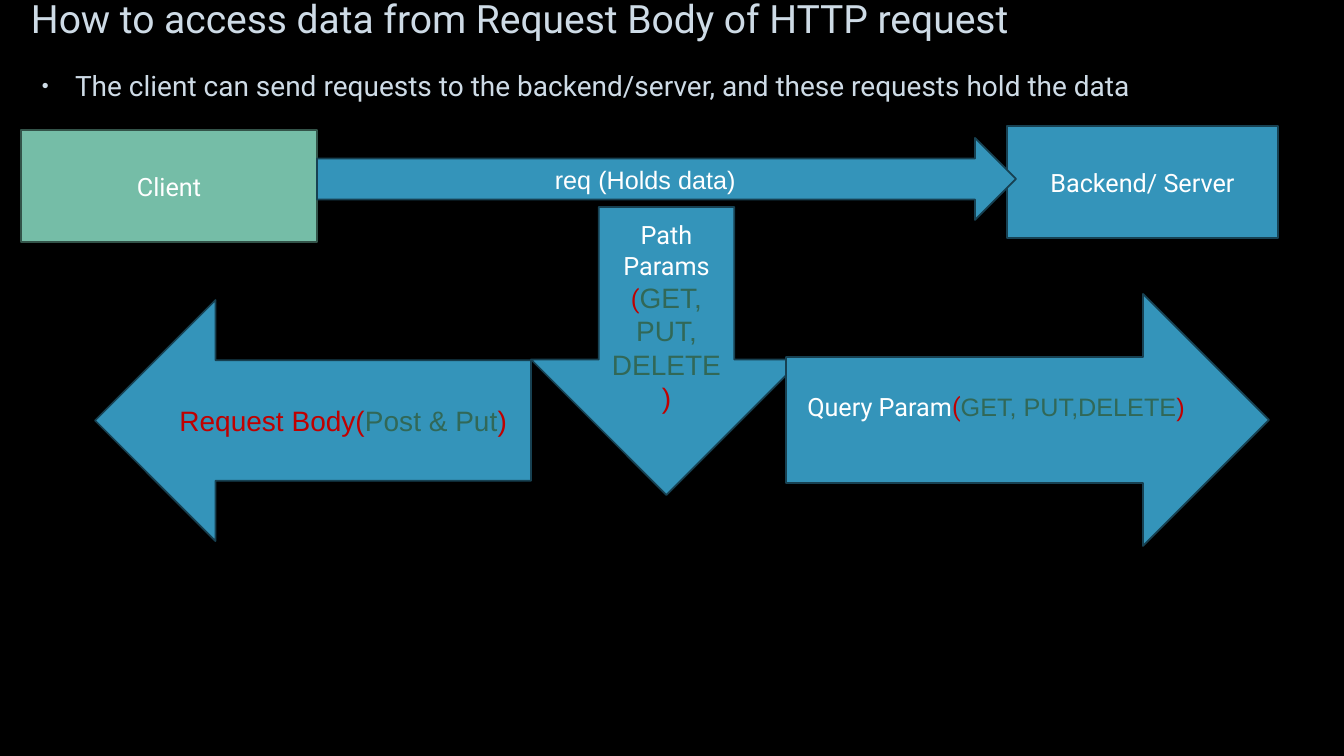
"""Build a slide on the ways an HTTP request carries data to a server."""
from lxml import etree
from pptx import Presentation
from pptx import util as u
from pptx.dml.color import RGBColor
from pptx.enum import shapes, text
from pptx.oxml import ns

COLOURS = {
    "background": "000000", "heading": "CEDBE6", "white": "FFFFFF",
    "blue": "3494BA", "blue line": "174152",
    "green": "75BDA7", "green line": "335349",
    "red": "C00000", "dark green": "316857",
}
EMU_PER_PX = 914400 / 100.8


def px(length):
    return u.Emu(round(length * EMU_PER_PX))


def colour(name):
    return RGBColor.from_string(COLOURS[name])


def add_run(paragraph, words, size=18, font="Roboto", ink="white"):
    run = paragraph.add_run()
    run.text = words
    run.font.size = u.Pt(size)
    run.font.name = font
    run.font.color.rgb = colour(ink)


class RequestSlide:
    def __init__(self, presentation):
        self.slide = presentation.slides.add_slide(presentation.slide_layouts[6])
        fill = self.slide.background.fill
        fill.solid()
        fill.fore_color.rgb = colour("background")

    def text_box(self, box, words, size, top_inset=0):
        shape = self.slide.shapes.add_textbox(*map(px, box))
        frame = shape.text_frame
        frame.word_wrap = True
        frame.margin_left = frame.margin_right = px(10)
        frame.margin_top = px(top_inset)
        frame.margin_bottom = 0
        paragraph = frame.paragraphs[0]
        add_run(paragraph, words, size=size, ink="heading")
        return paragraph

    def bullet(self, box, words, size):
        paragraph = self.text_box(box, words, size, top_inset=5)
        properties = paragraph._p.get_or_add_pPr()
        properties.set("marL", str(px(38)))
        properties.set("indent", str(-px(33)))
        ink = etree.SubElement(properties, ns.qn("a:buClr"))
        etree.SubElement(ink, ns.qn("a:srgbClr"), val=COLOURS["heading"])
        etree.SubElement(properties, ns.qn("a:buSzPct"), val="70000")
        etree.SubElement(properties, ns.qn("a:buFont"), typeface="Arial")
        etree.SubElement(properties, ns.qn("a:buChar"), char="•")

    def block(self, kind, box, lines, fill="blue", right_inset=10, bottom_inset=5):
        shape = self.slide.shapes.add_shape(kind, *map(px, box))
        shape.shadow.inherit = False
        shape.fill.solid()
        shape.fill.fore_color.rgb = colour(fill)
        shape.line.color.rgb = colour(fill + " line")
        shape.line.width = u.Pt(1.25)
        frame = shape.text_frame
        frame.word_wrap = True
        frame.vertical_anchor = text.MSO_ANCHOR.MIDDLE
        frame.margin_left, frame.margin_right = px(10), px(right_inset)
        frame.margin_top, frame.margin_bottom = px(5), px(bottom_inset)
        for index, line in enumerate(lines):
            paragraph = frame.add_paragraph() if index else frame.paragraphs[0]
            paragraph.alignment = text.PP_ALIGN.CENTER
            for words, style in line:
                add_run(paragraph, words, **style)


def main():
    presentation = Presentation()
    presentation.slide_width, presentation.slide_height = px(1344), px(756)
    page = RequestSlide(presentation)
    kinds = shapes.MSO_SHAPE

    plain = {}
    arial = {"font": "Arial"}
    red = {"ink": "red"}
    method = {"font": "Arial", "ink": "dark green"}
    large_method = {**method, "size": 20}
    large_red = {**large_method, "ink": "red"}

    page.text_box((21, -6, 1141, 46),
                  "How to access data from Request Body of HTTP request", 27.9)
    page.bullet((27, 64, 1316, 45),
                "The client can send requests to the backend/server, "
                "and these requests hold the data", 20)

    page.block(kinds.RECTANGLE, (21, 130, 296, 112), [[("Client", plain)]],
               fill="green")
    page.block(kinds.RECTANGLE, (1007, 126, 271, 112),
               [[("Backend/ Server", plain)]])
    page.block(kinds.RIGHT_ARROW, (317, 138, 699, 82),
               [[("req (Holds data)", arial)]], right_inset=32)
    page.block(kinds.DOWN_ARROW, (531, 207, 271, 288), [
        [("Path", plain)],
        [("Params", plain)],
        [("(", red), ("GET, PUT,", large_method)],
        [("DELETE", large_method), (")", large_red)],
    ])
    page.block(kinds.LEFT_ARROW, (95, 300, 436, 241), [
        [("Request Body(", large_red), ("Post & Put", large_method),
         (")", large_red)],
    ])
    page.block(kinds.RIGHT_ARROW, (786, 294, 483, 252), [
        [("Query Param", plain), ("(", red), ("GET, PUT,DELETE", method),
         (")", {**method, "ink": "red"})],
    ], bottom_inset=33)

    presentation.save("out.pptx")


if __name__ == "__main__":
    main()
